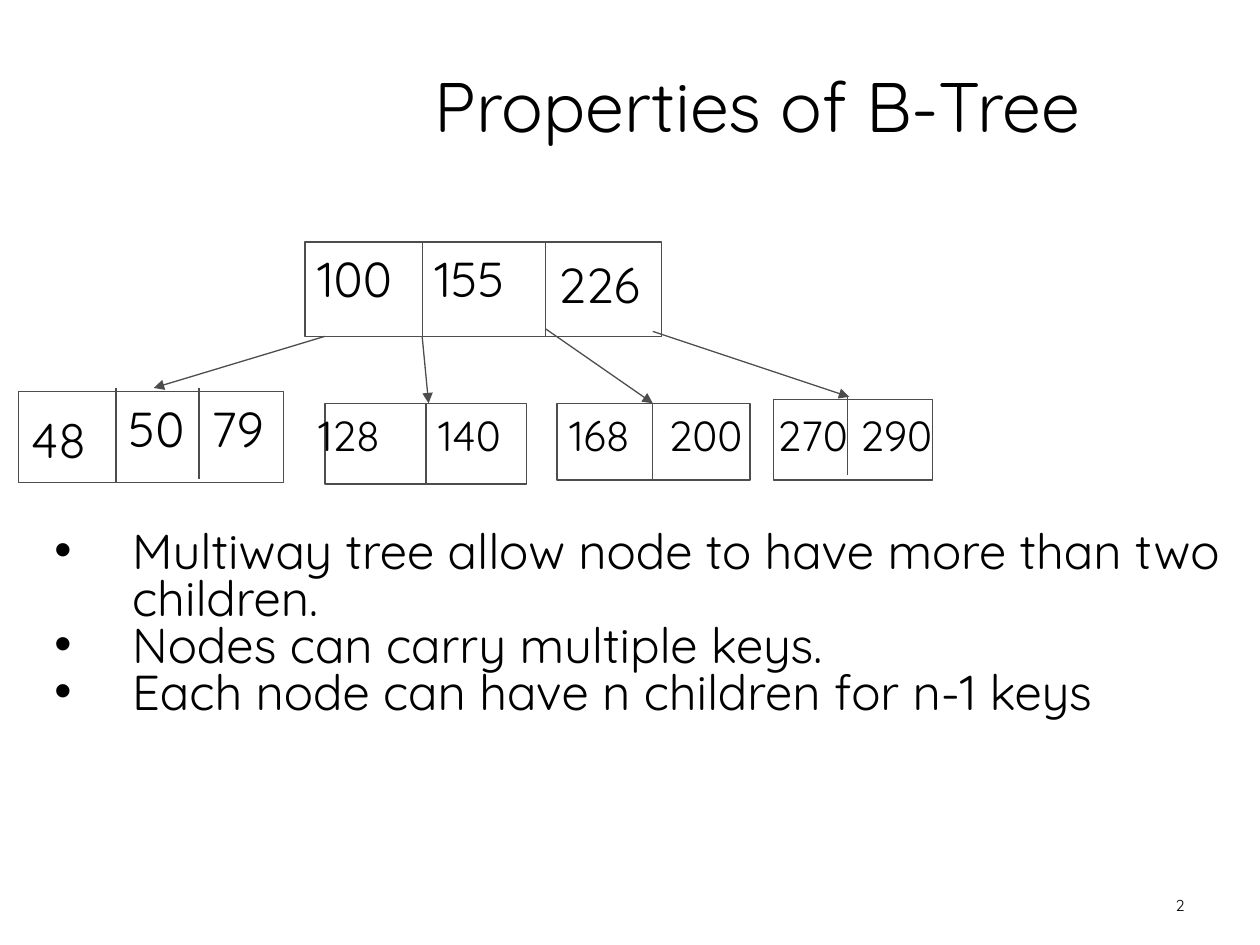
from dataclasses import dataclass

from lxml.etree import SubElement
from pptx import Presentation
from pptx.dml.color import RGBColor
from pptx.enum.shapes import MSO_CONNECTOR, MSO_SHAPE
from pptx.enum.text import MSO_ANCHOR, MSO_AUTO_SIZE, PP_ALIGN
from pptx.oxml.ns import qn
from pptx.slide import Slide
from pptx.text.text import TextFrame
from pptx.util import Cm, Pt

FONT = "Quicksand"
BLACK = RGBColor(0x00, 0x00, 0x00)
WHITE = RGBColor(0xFF, 0xFF, 0xFF)
GRAY = RGBColor(0x4D, 0x4D, 0x4D)


# All lengths are in centimetres
@dataclass
class Line:
    x1: float
    y1: float
    x2: float
    y2: float


@dataclass
class Key:
    label: str
    left: float
    top: float
    width: float


@dataclass
class Node:
    left: float
    top: float
    width: float
    height: float
    dividers: list[Line]
    keys: list[Key]
    size: int = 24


ROOT = Node(6.15, 4.88, 7.19, 1.9,
            [Line(8.51, 4.88, 8.51, 6.78), Line(11, 4.88, 11, 6.78)],
            [Key("100", 6.15, 4.88, 2.36), Key("155", 8.51, 4.88, 2.51),
             Key("226", 11, 5, 2.34)], 28)

LEAVES = [
    Node(0.38, 7.9, 5.33, 1.83,
         [Line(2.34, 7.82, 2.34, 9.73), Line(4.01, 7.82, 4.01, 9.65)],
         [Key("48", 0.38, 8.13, 1.96), Key("50", 2.34, 7.9, 1.7),
          Key("79", 4.01, 7.9, 1.68)], 28),
    Node(6.55, 8.13, 4.06, 1.63, [Line(8.59, 8.13, 8.59, 9.73)],
         [Key("128", 6.17, 8.13, 2.03), Key("140", 8.59, 8.13, 2.11)]),
    Node(11.23, 8.13, 3.89, 1.55, [Line(13.16, 8.13, 13.16, 9.65)],
         [Key("168", 11.23, 8.13, 1.93), Key("200", 13.23, 8.13, 2.08)]),
    Node(15.6, 8.05, 3.2, 1.63, [Line(17.09, 7.98, 17.09, 9.58)],
         [Key("270", 15.42, 8.13, 2.13), Key("290", 17.09, 8.13, 2.29)]),
]

CHILD_LINKS = [
    Line(6.55, 6.78, 3.1, 7.82),
    Line(8.51, 6.78, 8.64, 8.13),
    Line(11, 6.63, 13.16, 8.13),
    Line(13.16, 6.68, 17.12, 8),
]

PROPERTIES = [
    "Multiway tree allow node to have more than two children.",
    "Nodes can carry multiple keys.",
    "Each node can have n children for n-1 keys",
]


def format_text(frame: TextFrame, size: int, align=PP_ALIGN.LEFT) -> None:
    frame.word_wrap = True
    frame.auto_size = MSO_AUTO_SIZE.NONE
    for para in frame.paragraphs:
        para.alignment = align
        for span in para.runs:
            span.font.name = FONT
            span.font.size = Pt(size)
            span.font.color.rgb = BLACK


def place(shape, left: float, top: float, width: float, height: float) -> None:
    shape.left, shape.top = Cm(left), Cm(top)
    shape.width, shape.height = Cm(width), Cm(height)


def add_label(page: Slide, text: str, left: float, top: float, width: float,
              height: float, size: int, align=PP_ALIGN.LEFT) -> None:
    box = page.shapes.add_textbox(Cm(left), Cm(top), Cm(width), Cm(height))
    box.text_frame.text = text
    format_text(box.text_frame, size, align)


def add_line(page: Slide, line: Line, arrow: bool = False) -> None:
    connector = page.shapes.add_connector(
        MSO_CONNECTOR.STRAIGHT, Cm(line.x1), Cm(line.y1), Cm(line.x2), Cm(line.y2))
    connector.line.color.rgb = GRAY
    connector.line.width = Pt(0.75)
    properties = connector._element.spPr
    if arrow:
        SubElement(properties.find(qn("a:ln")), qn("a:tailEnd"), type="triangle")
    SubElement(properties, qn("a:effectLst"))


def add_node(page: Slide, node: Node) -> None:
    box = page.shapes.add_shape(MSO_SHAPE.RECTANGLE, Cm(node.left), Cm(node.top),
                                Cm(node.width), Cm(node.height))
    box.shadow.inherit = False
    box.fill.solid()
    box.fill.fore_color.rgb = WHITE
    box.line.color.rgb = GRAY
    box.line.width = Pt(0.75)
    for divider in node.dividers:
        add_line(page, divider)
    for key in node.keys:
        height = 1.45 if node.size == 28 else 1.27
        add_label(page, key.label, key.left, key.top, key.width, height, node.size)


def fill_bullets(frame: TextFrame, items: list[str]) -> None:
    frame.text = "\n".join(items)
    format_text(frame, 28)
    for para in frame.paragraphs:
        para.line_spacing = 0.8
        para.space_before = para.space_after = Pt(0)
        properties = para._p.get_or_add_pPr()
        properties.set("marL", str(Cm(1.57)))
        properties.set("indent", str(-Cm(1.57)))
        SubElement(properties, qn("a:buChar"), char="•")


def main() -> None:
    deck = Presentation()
    deck.slide_width, deck.slide_height = Cm(25.4), Cm(19.05)
    page = deck.slides.add_slide(deck.slide_layouts[1])

    # Title
    title = page.shapes.title
    place(title, 8.51, 0.71, 15.6, 2.79)
    title.text_frame.text = "Properties of B-Tree"
    title.text_frame.vertical_anchor = MSO_ANCHOR.MIDDLE
    format_text(title.text_frame, 40)

    # Tree
    add_node(page, ROOT)
    for link in CHILD_LINKS:
        add_line(page, link, arrow=True)
    for leaf in LEAVES:
        add_node(page, leaf)

    # Properties list
    body = page.placeholders[1]
    place(body, 0.84, 10.59, 24.56, 4.09)
    fill_bullets(body.text_frame, PROPERTIES)

    # Page number
    add_label(page, "2", 18.21, 17.93, 5.92, 0.74, 9, PP_ALIGN.RIGHT)

    deck.save("out.pptx")


if __name__ == "__main__":
    main()
